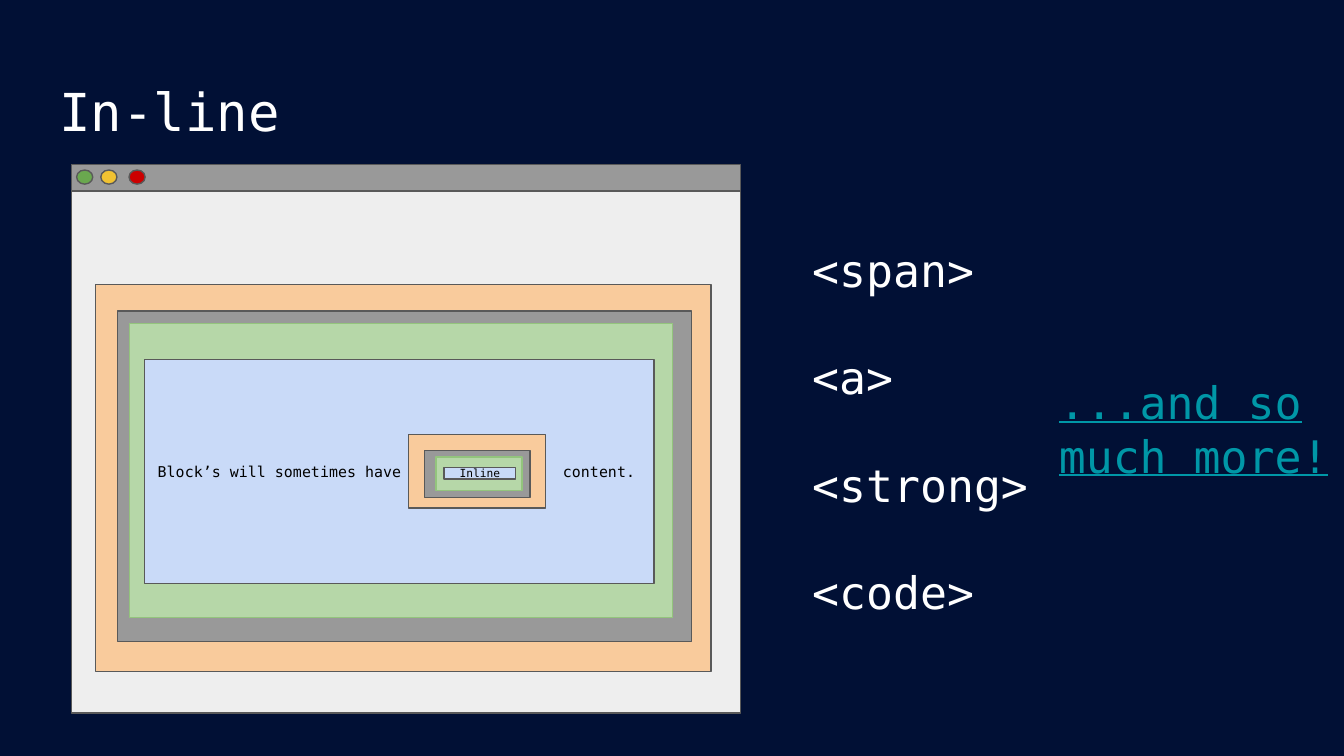
from lxml import etree
from pptx import Presentation
from pptx import util as u
from pptx.dml.color import RGBColor
from pptx.enum import shapes, text
from pptx.oxml import ns

PX = 4572  # EMU per px, 200 px to the inch
FONT = "DejaVu Sans Mono"
INSET = 20

NAVY = RGBColor(0x01, 0x10, 0x35)
WHITE = RGBColor(0xFF, 0xFF, 0xFF)
BLACK = RGBColor(0x00, 0x00, 0x00)
TEAL = RGBColor(0x00, 0x97, 0xA7)
OUTLINE = RGBColor(0x59, 0x59, 0x59)
PAGE = RGBColor(0xEE, 0xEE, 0xEE)
MARGIN = RGBColor(0xF9, 0xCB, 0x9C)
BORDER = RGBColor(0x99, 0x99, 0x99)
PADDING = RGBColor(0xB6, 0xD7, 0xA8)
PADDING_LINE = RGBColor(0x93, 0xC4, 0x7D)
CONTENT = RGBColor(0xC9, 0xDA, 0xF8)
GREEN = RGBColor(0x6A, 0xA8, 0x4F)
YELLOW = RGBColor(0xF1, 0xC2, 0x32)
RED = RGBColor(0xCC, 0x00, 0x00)

RECT = shapes.MSO_SHAPE.RECTANGLE
OVAL = shapes.MSO_SHAPE.OVAL

# Margin, border, padding and content, from the outside in
LAYERS = [(MARGIN, OUTLINE), (BORDER, OUTLINE), (PADDING, PADDING_LINE), (CONTENT, OUTLINE)]


def emu(lengths):
    return [n * PX for n in lengths]


def set_font(paragraph, size, color):
    font = paragraph.font
    font.name, font.size, font.color.rgb = FONT, u.Pt(size), color
    return font


def prepare_frame(frame, anchor):
    frame.word_wrap = True
    frame.vertical_anchor = anchor
    frame.margin_left = frame.margin_right = INSET * PX
    frame.margin_top = frame.margin_bottom = INSET * PX


def add_figure(slide, kind, bounds, fill, line=OUTLINE):
    figure = slide.shapes.add_shape(kind, *emu(bounds))
    figure.shadow.inherit = False
    figure.fill.solid()
    figure.fill.fore_color.rgb = fill
    figure.line.color.rgb = line
    figure.line.width = u.Pt(0.75)
    return figure


def add_box_model(slide, all_bounds):
    """Draw the nested layers and return the innermost, the content."""
    for bounds, (fill, line) in zip(all_bounds, LAYERS):
        layer = add_figure(slide, RECT, bounds, fill, line)
    return layer


def label_content(content, words, size, align, tab=None):
    frame = content.text_frame
    prepare_frame(frame, text.MSO_ANCHOR.MIDDLE)
    label = frame.paragraphs[0]
    label.text = words
    label.alignment = align
    if tab:
        tabs = etree.SubElement(label._p.get_or_add_pPr(), ns.qn("a:tabLst"))
        etree.SubElement(tabs, ns.qn("a:tab"), pos=str(tab * PX), algn="l")
    set_font(label, size, BLACK)


def add_text(slide, bounds, lines, size, color=WHITE, underline=None):
    """Write lines of text, with one empty line's height between them."""
    frame = slide.shapes.add_textbox(*emu(bounds)).text_frame
    prepare_frame(frame, text.MSO_ANCHOR.TOP)
    line_height = u.Pt(1.2 * size)
    for i, words in enumerate(lines):
        paragraph = frame.add_paragraph() if i else frame.paragraphs[0]
        paragraph.text = words
        paragraph.line_spacing = line_height
        if i:
            paragraph.space_before = line_height
        set_font(paragraph, size, color).underline = underline


def main():
    deck = Presentation()
    deck.slide_width, deck.slide_height = emu((2000, 1125))
    slide = deck.slides.add_slide(deck.slide_layouts[6])
    slide.background.fill.solid()
    slide.background.fill.fore_color.rgb = NAVY

    # Title
    add_text(slide, (69, 98, 1864, 126), ["In-line"], 28)

    # Browser window
    add_figure(slide, RECT, (106, 285, 996, 776), PAGE)
    add_figure(slide, RECT, (106, 245, 996, 39), BORDER)
    for left, color in ((114, GREEN), (150, YELLOW), (192, RED)):
        add_figure(slide, OVAL, (left, 253, 24, 21), color)

    # Block box, its text leaving room for the inline box
    block = add_box_model(slide, [
        (142, 423, 916, 576), (175, 463, 854, 492), (193, 481, 808, 438), (215, 535, 758, 333)])
    label_content(block, "Block’s will sometimes have\tcontent.", 8, text.PP_ALIGN.LEFT, tab=603)

    # Inline box
    inline = add_box_model(slide, [
        (608, 647, 204, 109), (632, 670, 157, 70), (649, 680, 128, 50), (661, 696, 106, 17)])
    label_content(inline, "Inline", 6, text.PP_ALIGN.CENTER)

    # Inline tags
    add_text(slide, (1189, 341, 384, 672), ["<span>", "<a>", "<strong>", "<code>"], 24)
    add_text(slide, (1556, 538, 444, 190), ["...and so much more!"], 24, TEAL, underline=True)

    deck.save("out.pptx")


if __name__ == "__main__":
    main()
